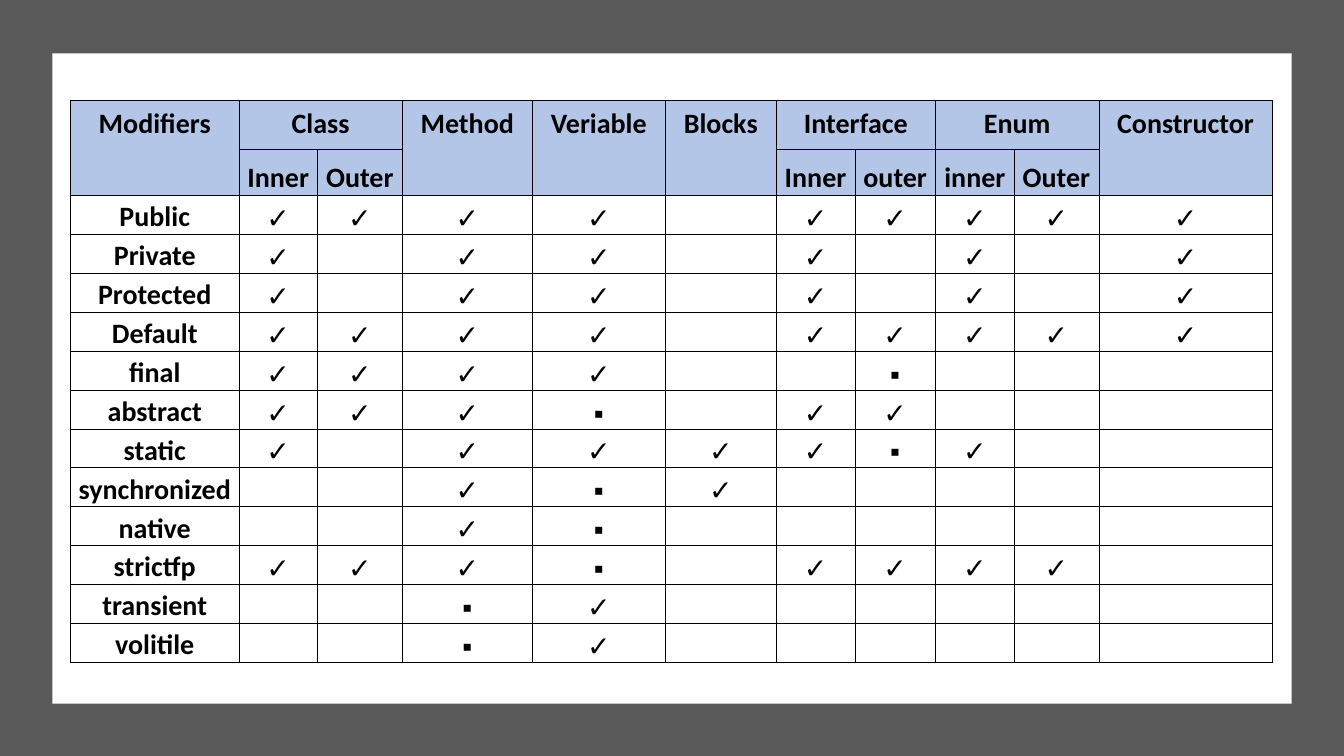
from dataclasses import dataclass

from lxml import etree
from pptx import Presentation
from pptx.dml.color import RGBColor
from pptx.enum.shapes import MSO_SHAPE
from pptx.enum.text import MSO_ANCHOR, PP_ALIGN
from pptx.oxml.ns import qn
from pptx.slide import Slide
from pptx.table import Table, _Cell
from pptx.util import Inches, Pt

RECTANGLE = MSO_SHAPE.RECTANGLE
CENTER = PP_ALIGN.CENTER
TOP, BOTTOM = MSO_ANCHOR.TOP, MSO_ANCHOR.BOTTOM

GRAY, WHITE, BLACK, HEADER_BLUE = "595959", "FFFFFF", "000000", "B4C6E7"
SLIDE_WIDTH, SLIDE_HEIGHT = 13.33, 7.5
BORDER_WIDTH = 0.5

# Left, top, right and bottom cell margins
WIDE_MARGINS = (0.11, 0.06, 0.11, 0.06)
TIGHT_MARGINS = (0.01, 0.01, 0.01, 0)

TABLE_LEFT, TABLE_TOP = 0.7, 1
COLUMN_WIDTHS = [1.67, 0.78, 0.84, 1.29, 1.32, 1.1, 0.78, 0.8, 0.78, 0.84, 1.72]
GROUP_ROW_HEIGHT, SUBHEAD_ROW_HEIGHT = 0.48, 0.46
BODY_ROW_HEIGHT = (5.5 - GROUP_ROW_HEIGHT) / 13


@dataclass
class HeaderGroup:
    title: str
    subheads: tuple[str, ...] = ()


@dataclass
class Modifier:
    name: str
    marks: str  # one character per column, "-" for an empty cell


HEADER_GROUPS = [
    HeaderGroup("Modifiers"),
    HeaderGroup("Class", ("Inner", "Outer")),
    HeaderGroup("Method"),
    HeaderGroup("Veriable"),
    HeaderGroup("Blocks"),
    HeaderGroup("Interface", ("Inner", "outer")),
    HeaderGroup("Enum", ("inner", "Outer")),
    HeaderGroup("Constructor"),
]

MODIFIERS = [
    Modifier("Public", "✓✓✓✓-✓✓✓✓✓"),
    Modifier("Private", "✓-✓✓-✓-✓-✓"),
    Modifier("Protected", "✓-✓✓-✓-✓-✓"),
    Modifier("Default", "✓✓✓✓-✓✓✓✓✓"),
    Modifier("final", "✓✓✓✓--▪---"),
    Modifier("abstract", "✓✓✓▪-✓✓---"),
    Modifier("static", "✓-✓✓✓✓▪✓--"),
    Modifier("synchronized", "--✓▪✓-----"),
    Modifier("native", "--✓▪------"),
    Modifier("strictfp", "✓✓✓▪-✓✓✓✓-"),
    Modifier("transient", "--▪✓------"),
    Modifier("volitile", "--▪✓------"),
]


def color(hex_value: str) -> RGBColor:
    return RGBColor.from_string(hex_value)


def add_panel(slide: Slide, left: float, top: float, width: float,
              height: float, fill: str) -> None:
    shape = slide.shapes.add_shape(
        RECTANGLE, Inches(left), Inches(top), Inches(width), Inches(height))
    shape.shadow.inherit = False
    shape.fill.solid()
    shape.fill.fore_color.rgb = color(fill)
    shape.line.fill.background()


def write_text(cell: _Cell, text: str, *, font: str = "Calibri", size: float = 20,
               bold: bool = True, anchor: MSO_ANCHOR = BOTTOM) -> None:
    cell.vertical_anchor = anchor
    paragraph = cell.text_frame.paragraphs[0]
    paragraph.alignment = CENTER
    run = paragraph.add_run()
    run.text = text
    run.font.name = font
    run.font.size = Pt(size)
    run.font.bold = bold
    run.font.color.rgb = color(BLACK)


def set_margins(cell: _Cell, margins: tuple[float, ...]) -> None:
    (cell.margin_left, cell.margin_top,
     cell.margin_right, cell.margin_bottom) = map(Inches, margins)


def add_borders(cell: _Cell) -> None:
    properties = cell._tc.get_or_add_tcPr()
    for side in ("a:lnL", "a:lnR", "a:lnT", "a:lnB"):
        line = etree.SubElement(properties, qn(side), w=str(Pt(BORDER_WIDTH)))
        fill = etree.SubElement(line, qn("a:solidFill"))
        etree.SubElement(fill, qn("a:srgbClr"), val=BLACK)


def style_grid(table: Table) -> None:
    for row_index, row in enumerate(table.rows):
        for cell in row.cells:
            add_borders(cell)
            set_margins(cell, TIGHT_MARGINS)
            if row_index < 2:
                cell.fill.solid()
                cell.fill.fore_color.rgb = color(HEADER_BLUE)
            else:
                cell.fill.background()


def fill_header(table: Table) -> None:
    column = 0
    for group in HEADER_GROUPS:
        cell = table.cell(0, column)
        span = max(1, len(group.subheads))
        cell.merge(table.cell(0 if group.subheads else 1, column + span - 1))
        set_margins(cell, WIDE_MARGINS)
        write_text(cell, group.title, anchor=TOP)
        for offset, subhead in enumerate(group.subheads):
            write_text(table.cell(1, column + offset), subhead)
        column += span


def fill_body(table: Table) -> None:
    for row, modifier in enumerate(MODIFIERS, start=2):
        write_text(table.cell(row, 0), modifier.name)
        for column, mark in enumerate(modifier.marks, start=1):
            if mark != "-":
                write_text(table.cell(row, column), mark, font="Arial", bold=False)


def add_modifier_table(slide: Slide) -> None:
    row_heights = [GROUP_ROW_HEIGHT, SUBHEAD_ROW_HEIGHT]
    row_heights += [BODY_ROW_HEIGHT] * len(MODIFIERS)
    table = slide.shapes.add_table(
        len(row_heights), len(COLUMN_WIDTHS), Inches(TABLE_LEFT), Inches(TABLE_TOP),
        Inches(sum(COLUMN_WIDTHS)), Inches(sum(row_heights))).table
    table.first_row = False
    table.horz_banding = False
    for column, width in zip(table.columns, COLUMN_WIDTHS):
        column.width = Inches(width)
    for row, height in zip(table.rows, row_heights):
        row.height = Inches(height)
    style_grid(table)
    fill_header(table)
    fill_body(table)


def main() -> None:
    presentation = Presentation()
    presentation.slide_width = Inches(SLIDE_WIDTH)
    presentation.slide_height = Inches(SLIDE_HEIGHT)
    slide = presentation.slides.add_slide(presentation.slide_layouts[6])

    # Gray frame with a white panel
    add_panel(slide, 0, 0, SLIDE_WIDTH, SLIDE_HEIGHT, GRAY)
    add_panel(slide, 0.52, 0.53, 12.29, 6.45, WHITE)

    # Modifier table
    add_modifier_table(slide)

    presentation.save("out.pptx")


if __name__ == "__main__":
    main()
